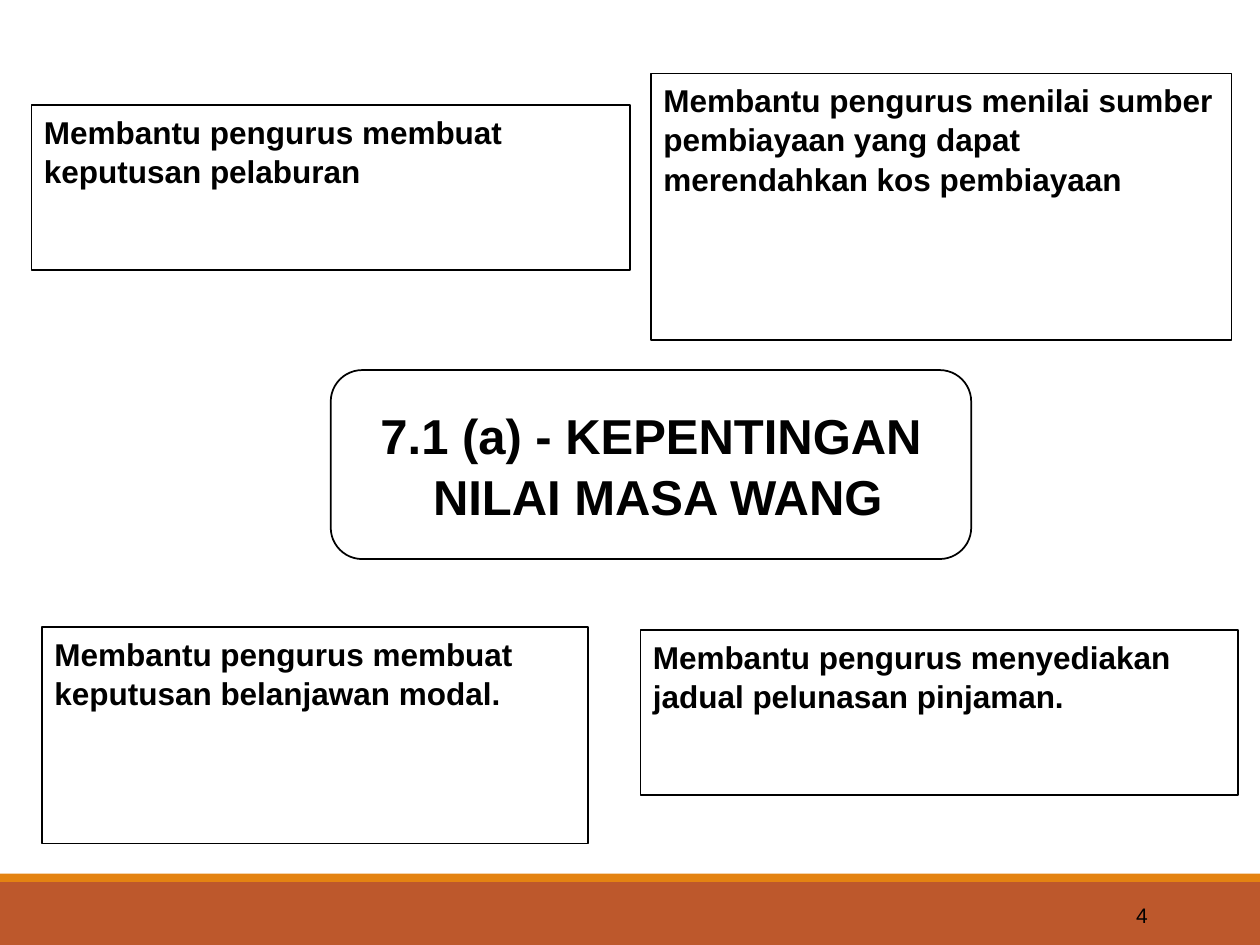
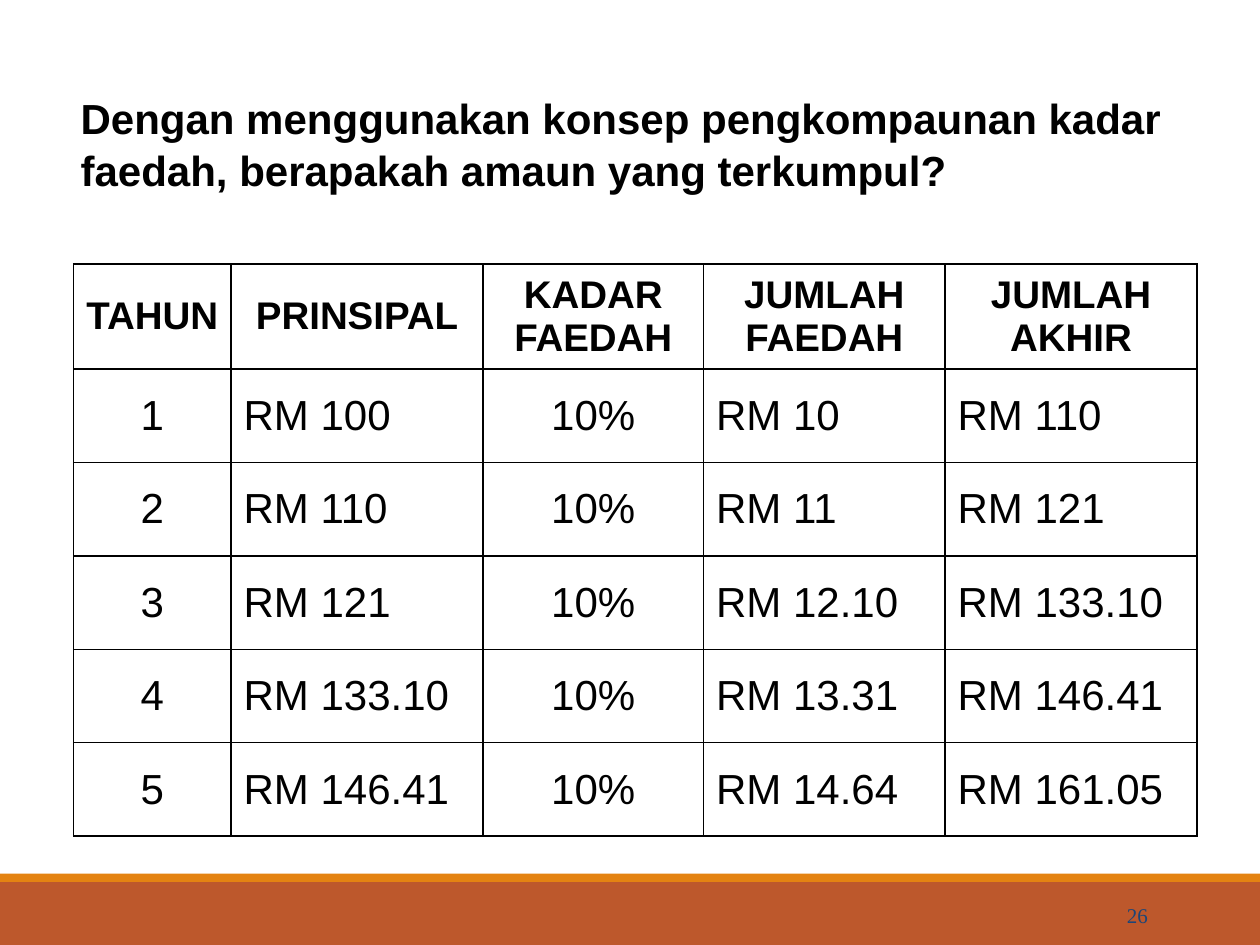
"""Build two slides on the time value of money."""
import pptx
import pptx.dml.color
import pptx.enum.shapes
import pptx.enum.text
import pptx.oxml
import pptx.oxml.ns
import pptx.util

COLORS = {
    "black": "000000",
    "white": "FFFFFF",
    "rust": "BD582C",
    "orange": "E48312",
    "navy": "1D4577",
}
COLUMNS, ROWS = 120, 90
ALIGN = pptx.enum.text.PP_ALIGN
ANCHOR = pptx.enum.text.MSO_ANCHOR
SHAPE = pptx.enum.shapes.MSO_SHAPE


def rgb(name):
    """Return the named colour."""
    return pptx.dml.color.RGBColor.from_string(COLORS[name])


def write(frame, text, size=18, bold=True, font="Arial", color="black",
          align=ALIGN.LEFT, spacing=1.04):
    """Write text into a frame, one paragraph for each line."""
    frame.word_wrap = True
    for index, line in enumerate(text.split("\n")):
        paragraph = frame.paragraphs[0] if index == 0 else frame.add_paragraph()
        paragraph.alignment = align
        paragraph.line_spacing = spacing
        run = paragraph.add_run()
        run.text = line
        run.font.name = font
        run.font.size = pptx.util.Pt(size)
        run.font.bold = bold
        run.font.color.rgb = rgb(color)


class Deck:
    """Hold the shared style and the current slide."""

    def __init__(self):
        """Start an empty presentation with its grid."""
        self.presentation = pptx.Presentation()
        self.presentation.slide_width = pptx.util.Inches(10)
        self.presentation.slide_height = pptx.util.Inches(7.5)
        self.column = self.presentation.slide_width / COLUMNS
        self.row = self.presentation.slide_height / ROWS
        self.slide = None

    def place(self, left, top, width, height):
        """Turn grid columns and rows into lengths."""
        return (round(left * self.column), round(top * self.row),
                round(width * self.column), round(height * self.row))

    def new_slide(self, number, **number_format):
        """Add a blank slide with footer bands and a page number."""
        layout = self.presentation.slide_layouts[6]
        self.slide = self.presentation.slides.add_slide(layout)
        self.box((0, 84, COLUMNS, 6), fill="rust")
        self.box((0, 83.2, COLUMNS, 0.8), fill="orange")
        self.text((97.5, 84.75, 13, 4.8), number, anchor=ANCHOR.MIDDLE,
                  size=12, bold=False, align=ALIGN.RIGHT, **number_format)

    def box(self, area, fill="white", line=None, kind=SHAPE.RECTANGLE):
        """Draw a filled shape, outlined when a line colour is given."""
        shape = self.slide.shapes.add_shape(kind, *self.place(*area))
        shape.shadow.inherit = False
        shape.fill.solid()
        shape.fill.fore_color.rgb = rgb(fill)
        if line:
            shape.line.color.rgb = rgb(line)
            shape.line.width = pptx.util.Pt(1)
        else:
            shape.line.fill.background()
        return shape

    def card(self, area, text, kind=SHAPE.RECTANGLE, anchor=ANCHOR.TOP, **text_format):
        """Draw an outlined white shape with text."""
        shape = self.box(area, line="black", kind=kind)
        shape.text_frame.vertical_anchor = anchor
        write(shape.text_frame, text, **text_format)

    def text(self, area, text, anchor=ANCHOR.TOP, **text_format):
        """Add a text box."""
        frame = self.slide.shapes.add_textbox(*self.place(*area)).text_frame
        frame.vertical_anchor = anchor
        write(frame, text, **text_format)

    def table(self, left, top, widths, heights, records, centered):
        """Add a ruled table whose first record is the header."""
        area = self.place(left, top, sum(widths), sum(heights))
        table = self.slide.shapes.add_table(len(heights), len(widths), *area).table
        for column, width in zip(table.columns, widths):
            column.width = round(width * self.column)
        for row, height in zip(table.rows, heights):
            row.height = round(height * self.row)
        for row_index, record in enumerate(records):
            header = row_index == 0
            for column_index, value in enumerate(record):
                cell = table.cell(row_index, column_index)
                cell.vertical_anchor = ANCHOR.MIDDLE
                middle = header or column_index in centered
                write(cell.text_frame, value, size=22 if header else 24, bold=header,
                      align=ALIGN.CENTER if middle else ALIGN.LEFT, spacing=1.0)
                self.borders(cell)
                cell.fill.solid()
                cell.fill.fore_color.rgb = rgb("white")

    def borders(self, cell):
        """Rule all four sides of a cell."""
        properties = cell._tc.get_or_add_tcPr()
        for side in ("lnL", "lnR", "lnT", "lnB"):
            properties.append(pptx.oxml.parse_xml(
                f'<a:{side} {pptx.oxml.ns.nsdecls("a")} w="{pptx.util.Pt(1)}">'
                f'<a:solidFill><a:srgbClr val="{COLORS["black"]}"/></a:solidFill>'
                f'</a:{side}>'))


def main():
    """Build both slides and save them."""
    deck = Deck()

    deck.new_slide("4")
    deck.card((31.5, 35.25, 61, 18), "7.1 (a) - KEPENTINGAN\n NILAI MASA WANG",
              kind=SHAPE.ROUNDED_RECTANGLE, anchor=ANCHOR.MIDDLE,
              size=28, align=ALIGN.CENTER)
    benefits = [
        ((3, 10, 57, 15.75), "Membantu pengurus membuat keputusan pelaburan"),
        ((62, 7, 55.3, 25.4),
         "Membantu pengurus menilai sumber pembiayaan yang dapat "
         "merendahkan kos pembiayaan"),
        ((4, 59.75, 52, 20.6), "Membantu pengurus membuat keputusan belanjawan modal."),
        ((61, 60, 56.9, 15.75), "Membantu pengurus menyediakan jadual pelunasan pinjaman."),
    ]
    for area, benefit in benefits:
        deck.card(area, benefit)

    deck.new_slide("26", font="Times New Roman", color="navy")
    deck.text((6.5, 8, 106, 11),
              "Dengan menggunakan konsep pengkompaunan kadar faedah, "
              "berapakah amaun yang terkumpul?", size=24)
    records = [
        ("TAHUN", "PRINSIPAL", "KADAR FAEDAH", "JUMLAH FAEDAH", "JUMLAH AKHIR"),
        ("1", "RM 100", "10%", "RM 10", "RM 110"),
        ("2", "RM 110", "10%", "RM 11", "RM 121"),
        ("3", "RM 121", "10%", "RM 12.10", "RM 133.10"),
        ("4", "RM 133.10", "10%", "RM 13.31", "RM 146.41"),
        ("5", "RM 146.41", "10%", "RM 14.64", "RM 161.05"),
    ]
    deck.table(7, 25.15, [15, 24, 21, 23, 24], [10] + [8.9] * 5, records, centered={0, 2})

    deck.presentation.save("out.pptx")


if __name__ == "__main__":
    main()
